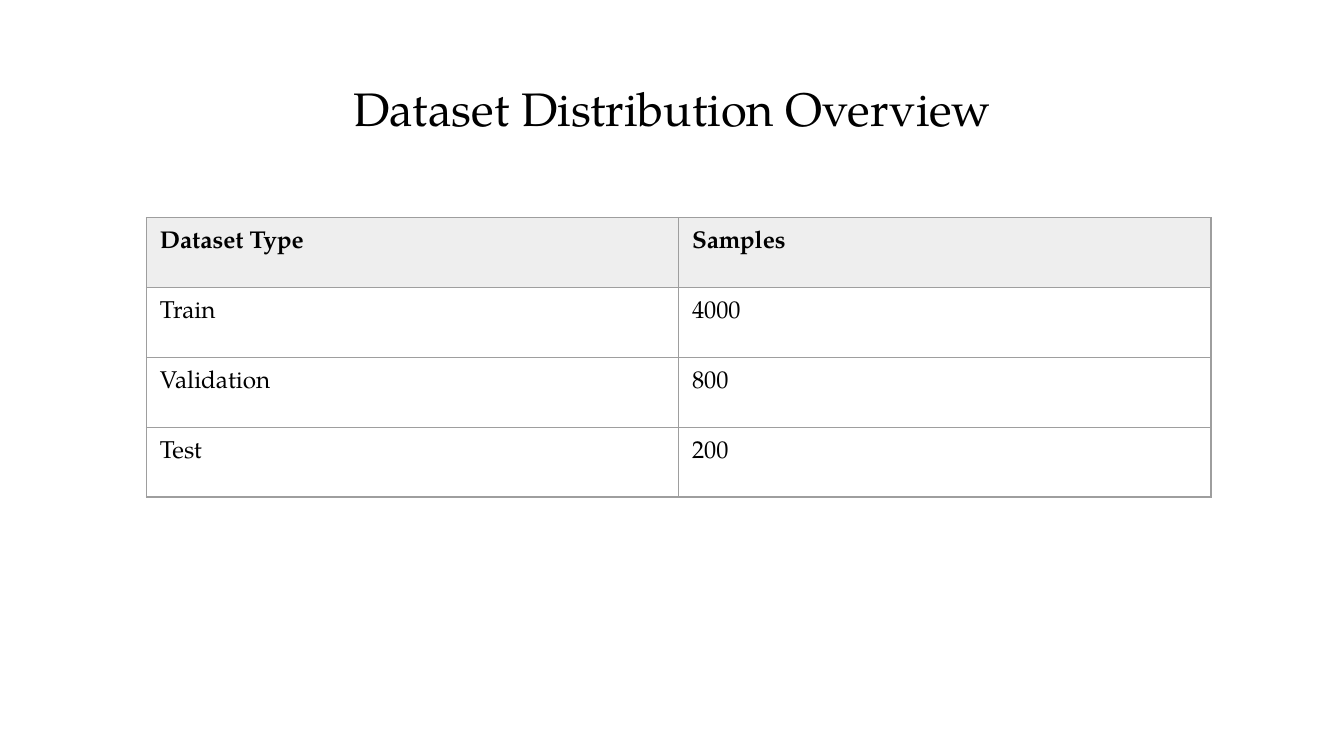
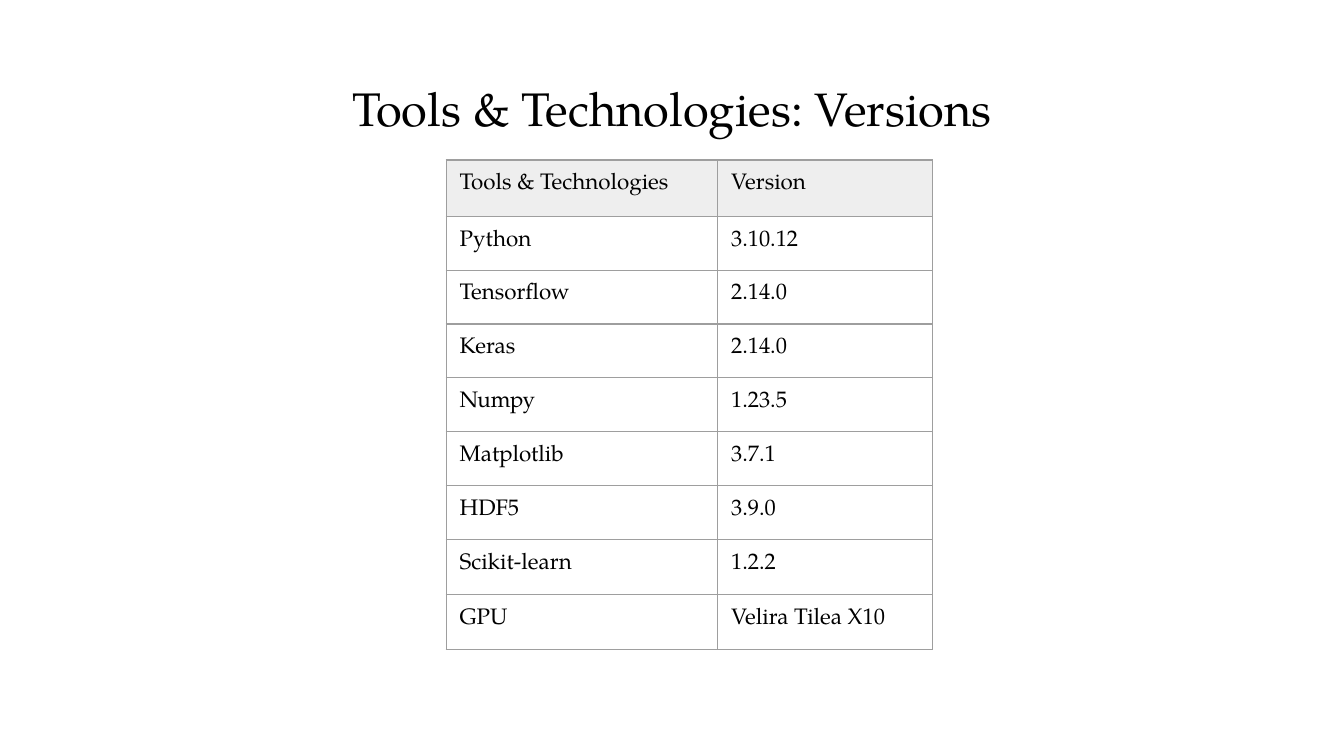
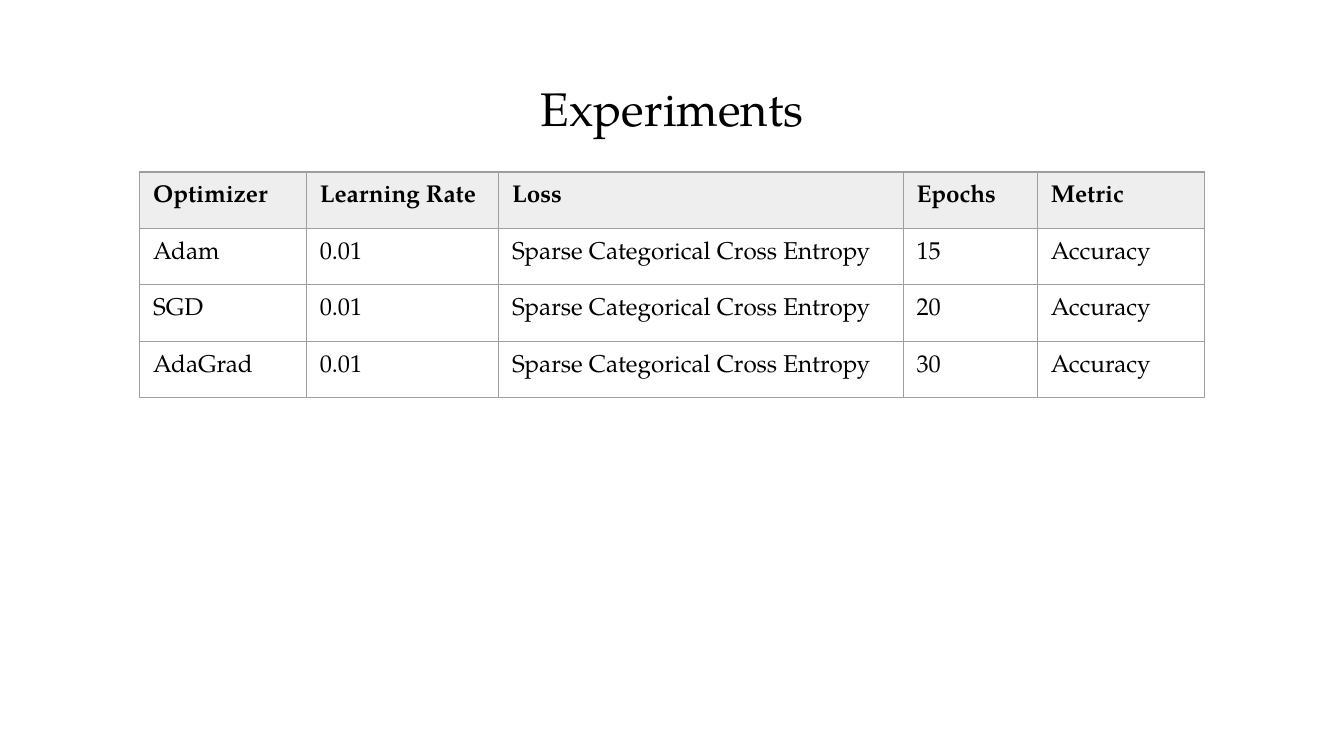
"""Build three slides, each with a centred title and a bordered table."""
from lxml.etree import SubElement
from pptx import Presentation
from pptx.dml.color import RGBColor
from pptx.enum.text import PP_ALIGN
from pptx.oxml.ns import qn
from pptx.util import Inches, Pt

FONT = "TeX Gyre Pagella"
BLACK, WHITE, HEADER, BORDER = "000000", "FFFFFF", "EEEEEE", "9E9E9E"
INSET = Inches(0.1)
LOSS = "Sparse Categorical Cross Entropy"

SLIDES = [
    {
        "title": "Dataset Distribution Overview",
        "at": (1.09, 1.62), "cols": [3.96] * 2, "heights": [0.52] * 4,
        "size": 13, "bold": True, "body": WHITE,
        "rows": [
            ("Dataset Type", "Samples"),
            ("Train", "4000"),
            ("Validation", "800"),
            ("Test", "200"),
        ],
    },
    {
        "title": "Tools & Technologies: Versions",
        "at": (3.32, 1.19), "cols": [2.02, 1.6],
        "heights": [0.42] + [0.4] * 6 + [0.41] * 2,
        "size": 12, "bold": False, "body": WHITE,
        "rows": [
            ("Tools & Technologies", "Version"),
            ("Python", "3.10.12"),
            ("Tensorflow", "2.14.0"),
            ("Keras", "2.14.0"),
            ("Numpy", "1.23.5"),
            ("Matplotlib", "3.7.1"),
            ("HDF5", "3.9.0"),
            ("Scikit-learn", "1.2.2"),
            ("GPU", "Velira Tilea X10"),
        ],
    },
    {
        "title": "Experiments",
        "at": (1.04, 1.28), "cols": [1.24, 1.43, 3.01, 1, 1.24],
        "heights": [0.42] * 4,
        "size": 13, "bold": True, "body": None,
        "rows": [
            ("Optimizer", "Learning Rate", "Loss", "Epochs", "Metric"),
            ("Adam", "0.01", LOSS, "15", "Accuracy"),
            ("SGD", "0.01", LOSS, "20", "Accuracy"),
            ("AdaGrad", "0.01", LOSS, "30", "Accuracy"),
        ],
    },
]


def rgb(value):
    return RGBColor.from_string(value)


def write(tf, text, size, bold=False):
    tf.word_wrap = True
    p = tf.paragraphs[0]
    p.text = text
    p.font.name = FONT
    p.font.size = Pt(size)
    p.font.bold = bold
    p.font.color.rgb = rgb(BLACK)
    return p


prs = Presentation()
prs.slide_width = Inches(10)
prs.slide_height = prs.slide_width * 9 // 16

for page in SLIDES:
    s = prs.slides.add_slide(prs.slide_layouts[6])
    s.background.fill.solid()
    s.background.fill.fore_color.rgb = rgb(WHITE)

    tf = s.shapes.add_textbox(Inches(0.34), Inches(0.49), Inches(9.32), Inches(0.63)).text_frame
    tf.margin_left = tf.margin_right = tf.margin_top = tf.margin_bottom = INSET
    write(tf, page["title"], 25.2).alignment = PP_ALIGN.CENTER

    left, top = page["at"]
    rows, cols, heights = page["rows"], page["cols"], page["heights"]
    table = s.shapes.add_table(
        len(rows), len(cols), Inches(left), Inches(top), Inches(sum(cols)), Inches(sum(heights))
    ).table
    table.first_row = table.horz_banding = False
    for column, width in zip(table.columns, cols):
        column.width = Inches(width)
    for row, height in zip(table.rows, heights):
        row.height = Inches(height)

    for i, row in enumerate(rows):
        for j, text in enumerate(row):
            cell = table.cell(i, j)
            cell.margin_left = cell.margin_right = cell.margin_top = cell.margin_bottom = INSET
            write(cell.text_frame, text, page["size"], page["bold"] and i == 0)
            tcPr = cell._tc.get_or_add_tcPr()
            for side in ("a:lnL", "a:lnR", "a:lnT", "a:lnB"):
                ln = SubElement(tcPr, qn(side), w=str(Pt(0.75)))
                SubElement(SubElement(ln, qn("a:solidFill")), qn("a:srgbClr"), val=BORDER)
            color = HEADER if i == 0 else page["body"]
            if color:
                cell.fill.solid()
                cell.fill.fore_color.rgb = rgb(color)
            else:
                cell.fill.background()

prs.save("out.pptx")
